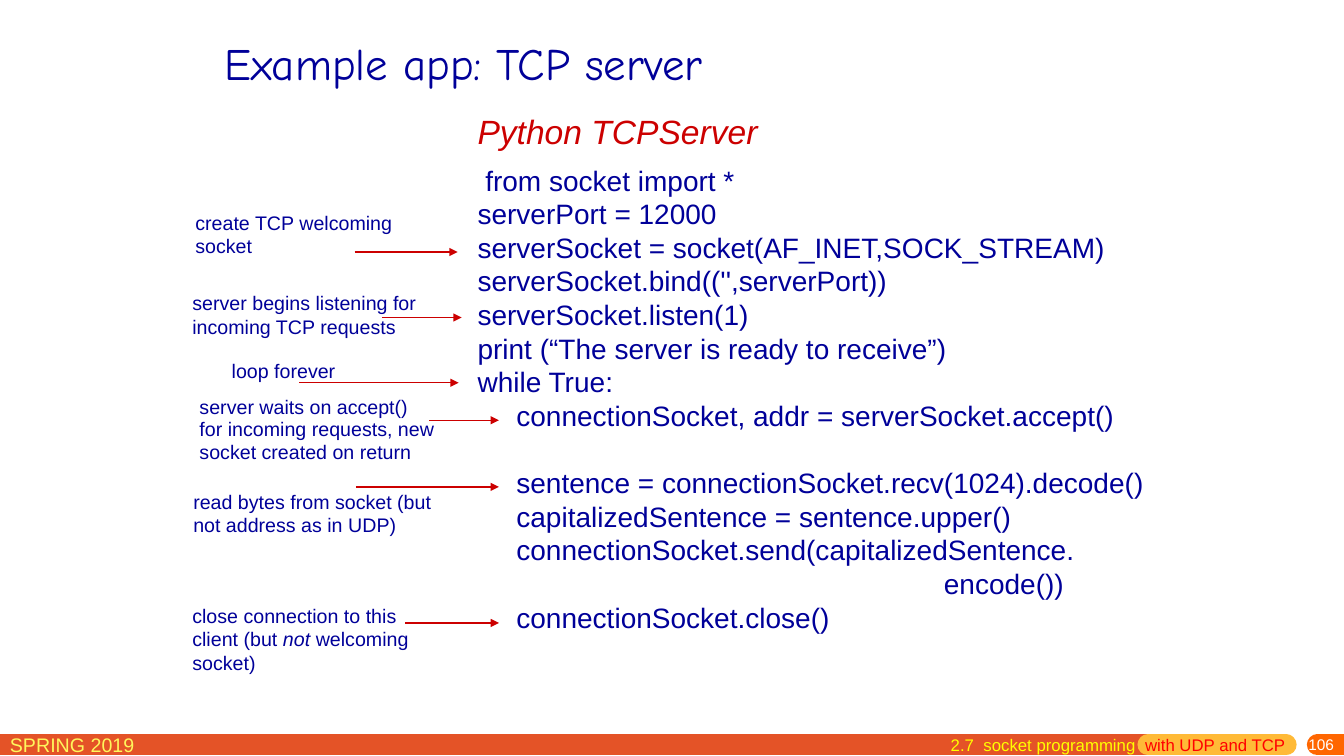
from lxml import etree
from pptx import Presentation
from pptx import util as u
from pptx.dml.color import RGBColor
from pptx.enum import shapes, text
from pptx.oxml.ns import qn

Pt = u.Pt
NAVY = RGBColor(0x00, 0x00, 0x99)
RED = RGBColor(0xCC, 0x00, 0x00)
ORANGE = RGBColor(0xE4, 0x53, 0x27)
AMBER = RGBColor(0xFF, 0xBA, 0x37)
DEEP_ORANGE = RGBColor(0xFF, 0x66, 0x00)
PALE_YELLOW = RGBColor(0xFF, 0xF6, 0x5C)
YELLOW = RGBColor(0xFF, 0xFF, 0x00)
BRIGHT_RED = RGBColor(0xFF, 0x00, 0x00)
WHITE = RGBColor(0xFF, 0xFF, 0xFF)

presentation = Presentation()
presentation.slide_width, presentation.slide_height = Pt(960), Pt(540)
slide = presentation.slides.add_slide(presentation.slide_layouts[6])


def add_text(box, lines, size, color, font="Arial", spacing=None):
    """Each line is a list of (words, italic) runs."""
    shape = slide.shapes.add_textbox(*map(Pt, box))
    frame = shape.text_frame
    frame.word_wrap = True
    for index, runs in enumerate(lines):
        paragraph = frame.paragraphs[0] if index == 0 else frame.add_paragraph()
        if spacing:
            paragraph.line_spacing = Pt(spacing)
        for words, italic in runs:
            run = paragraph.add_run()
            run.text = words
            run.font.name, run.font.size = font, Pt(size)
            run.font.color.rgb = color
            run.font.italic = italic
    return frame


def add_line(x1, x2, y, color, width):
    line = slide.shapes.add_connector(
        shapes.MSO_CONNECTOR.STRAIGHT, Pt(x1), Pt(y), Pt(x2), Pt(y))
    line.line.color.rgb = color
    line.line.width = Pt(width)
    etree.SubElement(line._element.spPr, qn("a:effectLst"))
    return line.line._get_or_add_ln()


# Footer band with rounded ends
for x1, x2, color in [(0, 820, ORANGE), (820, 918.7, AMBER), (941, 960, DEEP_ORANGE)]:
    add_line(x1, x2, 532.1, color, 15).set("cap", "rnd")

add_text((0, 519.8, 165, 22), [[("SPRING 2019", False)]], 14, PALE_YELLOW)

page_number = add_text((774, 527, 186, 13), [[("106", False)]], 11, WHITE)
page_number.margin_top, page_number.margin_bottom = 0, Pt(3.6)
page_number.vertical_anchor = text.MSO_ANCHOR.MIDDLE
page_number.paragraphs[0].alignment = text.PP_ALIGN.RIGHT

# Title and code heading
title = add_text((153.4, 7.2, 612, 74.9), [[("Example app: TCP server", False)]],
                 32, NAVY, "Comic Neue")
title.vertical_anchor = text.MSO_ANCHOR.MIDDLE
add_text((334, 75.6, 222.5, 36.7), [[("Python TCPServer", True)]], 24, RED)

# Server code
code = """ from socket import *
serverPort = 12000
serverSocket = socket(AF_INET,SOCK_STREAM)
serverSocket.bind(('',serverPort))
serverSocket.listen(1)
print (“The server is ready to receive”)
while True:
     connectionSocket, addr = serverSocket.accept()
     sentence = connectionSocket.recv(1024).decode()
     capitalizedSentence = sentence.upper()
     connectionSocket.send(capitalizedSentence.
                                                            encode())
     connectionSocket.close()"""
listing = add_text((334, 113, 500, 346), [[(line, False)] for line in code.split("\n")],
                   20, NAVY, spacing=24)
listing.paragraphs[8].space_before = Pt(24)  # gap after accept()

# Notes: box, line spacing, lines, then arrow start, end and height
notes = [
    ((132.5, 146.9, 201.6, 41), 16.8,
     [[("create TCP welcoming", False)], [("socket", False)]], (253.4, 326.9, 180)),
    ((130.3, 204.5, 178.6, 41), 16.8,
     [[("server begins listening for incoming TCP requests", False)]],
     (272.9, 329.8, 226.8)),
    ((158.4, 253.4, 94.3, 23.8), 16, [[("loop forever", False)]], (213.8, 327.6, 273.4)),
    ((135.4, 279.4, 202.3, 55.4), 16,
     [[("server waits on accept()", False)],
      [("for incoming requests, new socket created on return", False)]],
     (306.7, 356.4, 300.2)),
    ((131, 346.3, 185, 41), 16.8,
     [[("read bytes from socket (but not address as in UDP)", False)]],
     (254.2, 356.4, 347.8)),
    ((130.3, 427.7, 185, 58.3), 16.8,
     [[("close connection to this client (but ", False), ("not", True),
       (" welcoming socket)", False)]], (289.4, 356.4, 445)),
]
for box, spacing, lines, (start, end, y) in notes:
    add_text(box, lines, 14, NAVY, spacing=spacing)
    arrow = add_line(start, end, y, RED, 1)
    etree.SubElement(arrow, qn("a:tailEnd"), type="triangle")

# Section label, spaced with tab stops
section = add_text((672, 521.3, 255, 22), [[]], 12, YELLOW)
paragraph = section.paragraphs[0]
tabs = etree.SubElement(paragraph._p.get_or_add_pPr(), qn("a:tabLst"))
for stop in (23.4, 138.8):
    etree.SubElement(tabs, qn("a:tab"), pos=str(int(Pt(stop))), algn="l")
for words, color in [("2.7\tsocket programming\t", YELLOW),
                     ("with UDP and TCP", BRIGHT_RED)]:
    run = paragraph.add_run()
    run.text = words
    run.font.name, run.font.size = "Arial", Pt(12)
    run.font.color.rgb = color

presentation.save("out.pptx")
